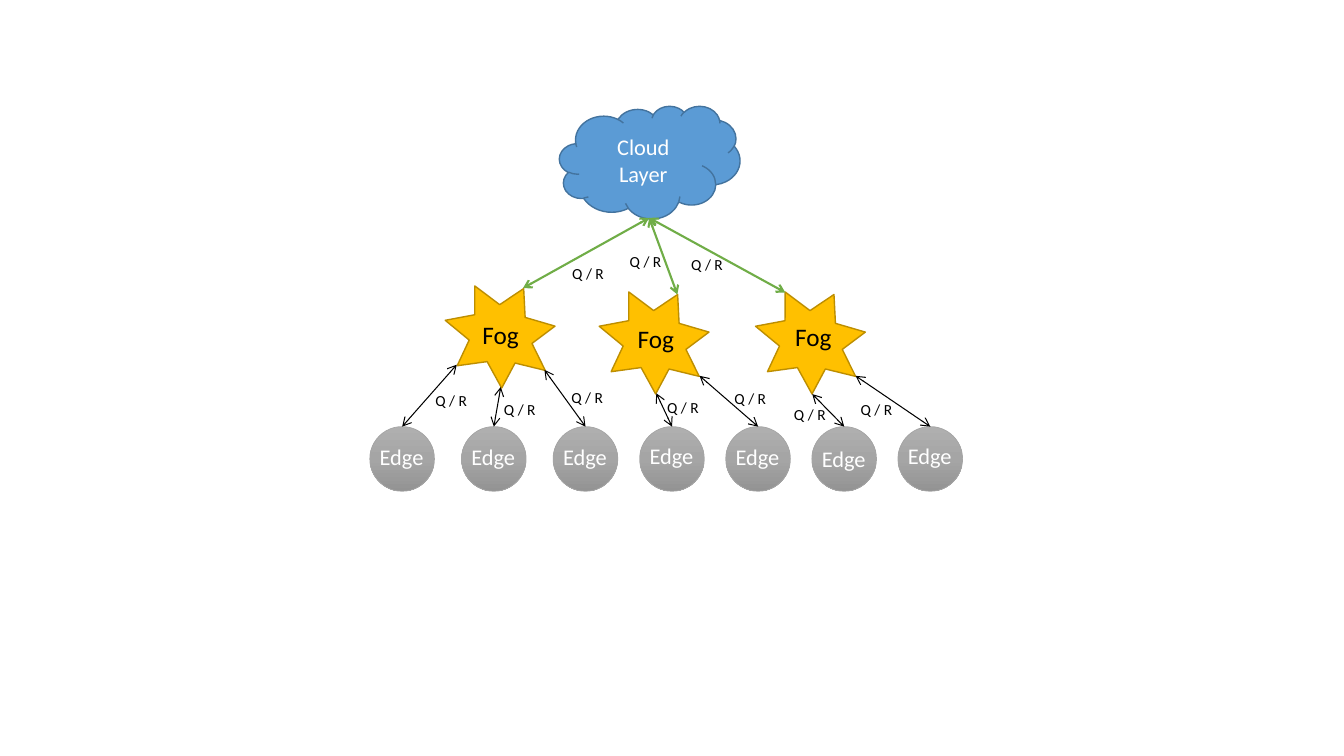
from copy import deepcopy
from dataclasses import dataclass

from lxml.etree import SubElement
from pptx import Presentation
from pptx.dml.color import RGBColor
from pptx.enum.shapes import MSO_CONNECTOR as Link, MSO_SHAPE as Preset
from pptx.enum.text import MSO_ANCHOR as Anchor, MSO_AUTO_SIZE as AutoSize, PP_ALIGN as Align
from pptx.oxml.ns import qn
from pptx.util import Cm, Pt


@dataclass(frozen=True)
class Theme:
    font: str = "Calibri"
    white: str = "FFFFFF"
    black: str = "000000"
    cloud: str = "5B9BD5"
    cloud_line: str = "43739E"
    fog: str = "FFC000"
    fog_line: str = "BD8E00"
    edge: str = "A5A5A5"
    edge_gradient: tuple = ("AFAFAF", "A5A5A5", "939393")
    uplink: str = "70AD47"
    layer_size: int = 16
    fog_size: int = 18
    message_size: int = 11


def write(frame, text, *, size, color, font, align=Align.LEFT, anchor=Anchor.TOP):
    frame.word_wrap = True
    frame.vertical_anchor = anchor
    para = frame.paragraphs[0]
    para.alignment = align
    span = para.add_run()
    span.text = text
    span.font.name = font
    span.font.size = Pt(size)
    span.font.color.rgb = RGBColor.from_string(color)


class Diagram:
    def __init__(self, page, theme):
        self.page = page
        self.theme = theme

    def shape(self, preset, left, top, width, height, fill, line, weight=1.0, rotation=0):
        shape = self.page.shapes.add_shape(preset, Cm(left), Cm(top), Cm(width), Cm(height))
        shape.shadow.inherit = False
        shape.rotation = rotation
        shape.line.color.rgb = RGBColor.from_string(line)
        shape.line.width = Pt(weight)
        if isinstance(fill, tuple):
            self.gradient(shape, fill)
        else:
            shape.fill.solid()
            shape.fill.fore_color.rgb = RGBColor.from_string(fill)
        return shape

    def gradient(self, shape, colors):
        shape.fill.gradient()
        shape.fill.gradient_angle = 270
        stop_list = shape.element.find(".//" + qn("a:gsLst"))
        stop_list.insert(1, deepcopy(stop_list[0]))
        for index, (stop, color) in enumerate(zip(shape.fill.gradient_stops, colors)):
            stop.position = index / (len(colors) - 1)
            stop.color.rgb = RGBColor.from_string(color)

    def label(self, text, left, top, width, height, size, color):
        box = self.page.shapes.add_textbox(Cm(left), Cm(top), Cm(width), Cm(height))
        write(box.text_frame, text, size=size, color=color, font=self.theme.font)
        box.text_frame.auto_size = AutoSize.SHAPE_TO_FIT_TEXT

    def message(self, left, top):
        self.label("Q / R", left, top, 1.4, 0.74, self.theme.message_size, self.theme.black)

    def arrow(self, start, end, color, weight):
        points = [Cm(value) for value in (*start, *end)]
        arrow = self.page.shapes.add_connector(Link.STRAIGHT, *points)
        arrow.line.color.rgb = RGBColor.from_string(color)
        arrow.line.width = Pt(weight)
        properties = arrow.element.spPr
        line = properties.find(qn("a:ln"))
        for tip in ("a:headEnd", "a:tailEnd"):
            SubElement(line, qn(tip), type="arrow")
        SubElement(properties, qn("a:effectLst"))

    def cloud(self, left, top):
        theme = self.theme
        cloud = self.shape(Preset.CLOUD, left, top, 4.55, 2.84, theme.cloud, theme.cloud_line)
        write(cloud.text_frame, "Cloud Layer", size=theme.layer_size, color=theme.white,
              font=theme.font, align=Align.CENTER, anchor=Anchor.MIDDLE)

    def fog(self, left, top, label_at):
        theme = self.theme
        star = self.shape(Preset.STAR_7_POINT, left, top, 2.82, 2.49,
                          theme.fog, theme.fog_line, rotation=26.6)
        star.adjustments[0] = 0.286
        self.label("Fog", *label_at, 1.65, 1.02, theme.fog_size, theme.black)

    def edge(self, left, top, label_top):
        theme = self.theme
        self.shape(Preset.OVAL, left, top, EDGE_SIZE, EDGE_SIZE,
                   theme.edge_gradient, theme.edge, weight=0.5)
        self.label("Edge", left, label_top, 1.78, 0.94, theme.layer_size, theme.white)


EDGE_SIZE = 1.63
EDGE_TOP = 10.75
HUB = (16.36, 5.49)
EDGE_LEFTS = [9.32 + 2.31 * i for i in range(3)] + [16.12 + 2.17 * i for i in range(4)]

FOGS = [
    ((11.23, 7.14), (11.91, 7.92), (13.18, 7.26), (14.17, 6.53)),
    ((15.11, 7.29), (15.82, 8.03), (17.07, 7.42), (15.62, 6.22)),
    ((19.05, 7.29), (19.79, 7.98), (19.79, 7.37), (17.17, 6.3)),
]
EDGES = [
    ((11.51, 9.19), (10.72, 9.73), 11.05),
    ((12.62, 9.75), (12.45, 9.96), 11.05),
    ((13.72, 9.32), (14.15, 9.65), 11.05),
    ((16.54, 9.91), (16.56, 9.91), 11.02),
    ((17.63, 9.47), (18.26, 9.68), 11.05),
    ((20.47, 9.93), (19.76, 10.08), 11.1),
    ((21.56, 9.47), (21.44, 9.96), 11.02),
]

deck = Presentation()
deck.slide_width = Cm(33.87)
deck.slide_height = Cm(19.05)
theme = Theme()
diagram = Diagram(deck.slides.add_slide(deck.slide_layouts[6]), theme)

diagram.cloud(14.1, 2.67)
for star_at, label_at, tip, message_at in FOGS:
    diagram.fog(*star_at, label_at)
    diagram.arrow(HUB, tip, theme.uplink, 1.5)
    diagram.message(*message_at)
for left, (tip, message_at, label_top) in zip(EDGE_LEFTS, EDGES):
    diagram.edge(left, EDGE_TOP, label_top)
    diagram.arrow(tip, (left + EDGE_SIZE / 2, EDGE_TOP), theme.black, 0.75)
    diagram.message(*message_at)

deck.save("out.pptx")
